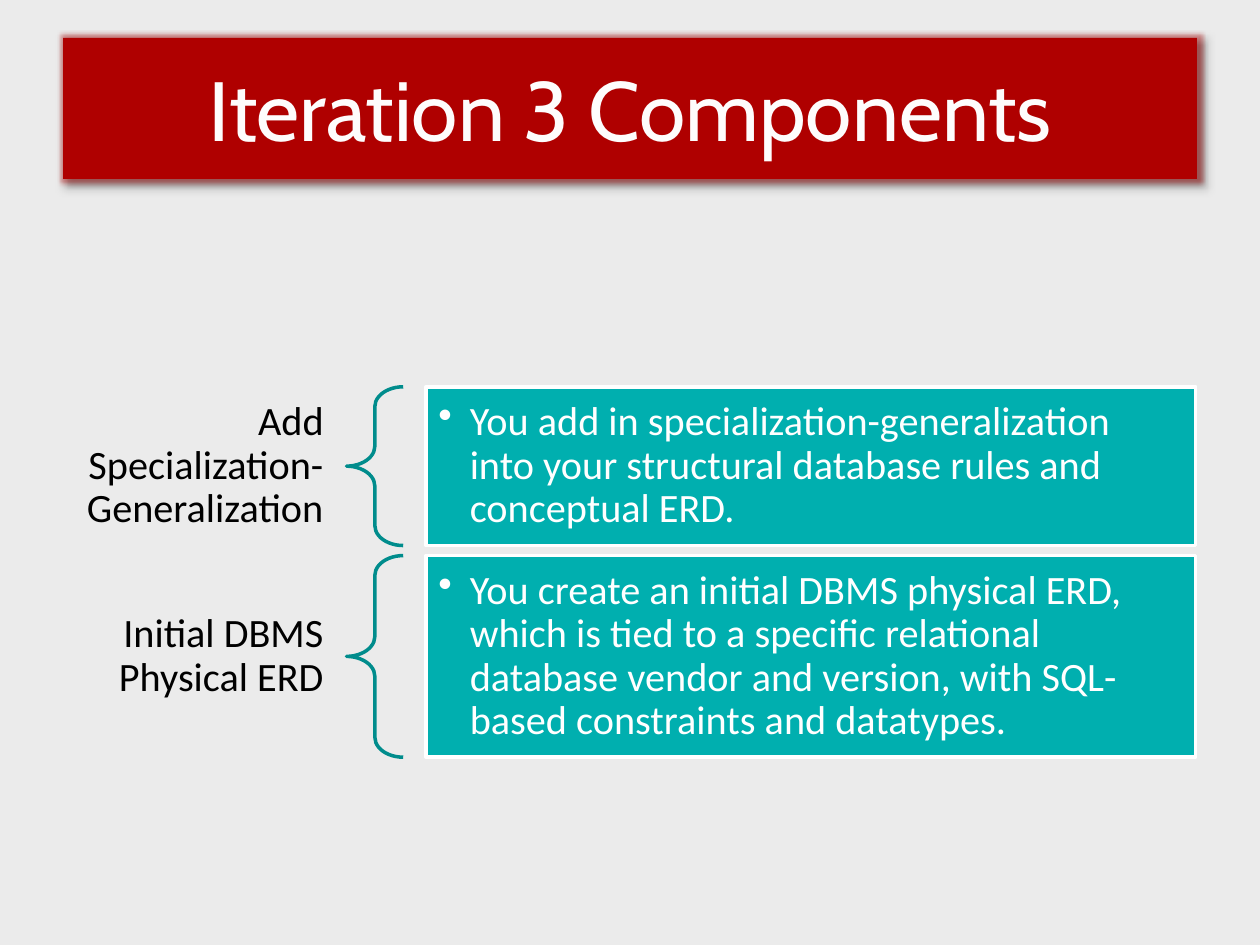
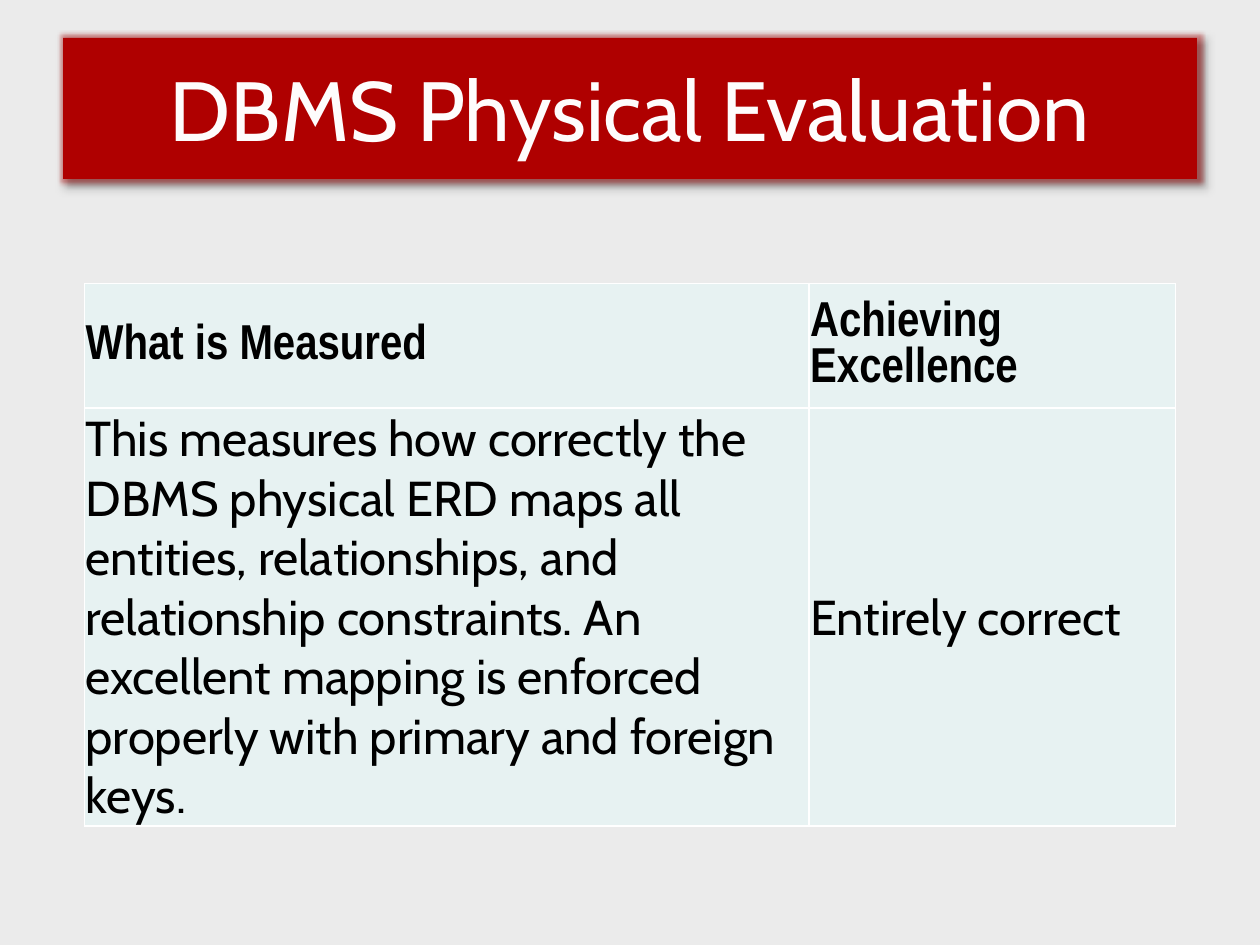
"""Builds two slides on the Iteration 3 components and their evaluation."""
from dataclasses import dataclass

from lxml import etree
from pptx import Presentation
from pptx.dml.color import RGBColor
from pptx.enum.shapes import MSO_SHAPE
from pptx.enum.text import MSO_ANCHOR, MSO_AUTO_SIZE, PP_ALIGN
from pptx.oxml import parse_xml
from pptx.util import Inches, Pt

RECT, BRACE = MSO_SHAPE.RECTANGLE, MSO_SHAPE.LEFT_BRACE
LEFT, MID, RIGHT = PP_ALIGN.LEFT, PP_ALIGN.CENTER, PP_ALIGN.RIGHT
CENTRE, FIXED = MSO_ANCHOR.MIDDLE, MSO_AUTO_SIZE.NONE
NS = "http://schemas.openxmlformats.org/drawingml/2006/main"

PARTS = {
    "title": "Iteration 3 Components",
    "rows": [
        ("Add Specialization-Generalization",
         "You add in specialization-generalization into your structural "
         "database rules and conceptual ERD.", 1.26),
        ("Initial DBMS Physical ERD",
         "You create an initial DBMS physical ERD, which is tied to a specific "
         "relational database vendor and version, with SQL-based constraints "
         "and datatypes.", 1.6),
    ],
}
GRADES = {
    "title": "DBMS Physical Evaluation",
    "rows": [
        ("What is Measured", "Achieving Excellence"),
        ("This measures how correctly the DBMS physical ERD maps all entities, "
         "relationships, and relationship constraints. An excellent mapping is "
         "enforced properly with primary and foreign keys.",
         "Entirely correct"),
    ],
    "cols": (5.75, 2.91),
    "highs": (0.99, 3.28),
}


@dataclass(frozen=True)
class Theme:
    """Colours, fonts and type sizes."""
    back: str = "EBEBEB"
    band: str = "AF0000"
    head: str = "FEFCFC"
    teal: str = "00AFAF"
    deep: str = "008C8C"
    pale: str = "E7F2F2"
    white: str = "FFFFFF"
    black: str = "000000"
    main: str = "Cabin"
    body: str = "Calibri"
    slim: str = "Arial Narrow"
    big: int = 48
    mid: int = 28
    small: int = 23


T = Theme()


def rgb(code):
    """Turn a hex code into a colour."""
    return RGBColor.from_string(code)


def box(*spans):
    """Turn spans in inches into lengths."""
    return [Inches(span) for span in spans]


def xml(body):
    """Parse one drawing element given without its opening bracket."""
    tag, rest = body.split(" ", 1)
    return parse_xml(f'<a:{tag} xmlns:a="{NS}" {rest}')


def edge(tag, code, points):
    """Make a solid line element."""
    return xml(f'{tag} w="{Pt(points)}"><a:solidFill><a:srgbClr val="{code}"/>'
               f'</a:solidFill></a:{tag}>')


def put(frame, text, font=T.body, size=T.small, color=T.black, bold=False,
        align=LEFT, gap=None, pads=(0.1, 0.05, 0.1, 0.05), wrap=True,
        dot=False, rim=None):
    """Write one formatted paragraph into a text frame."""
    frame.word_wrap, frame.auto_size = wrap, FIXED
    frame.vertical_anchor = CENTRE
    (frame.margin_left, frame.margin_top,
     frame.margin_right, frame.margin_bottom) = box(*pads)
    para = frame.paragraphs[0]
    para.alignment, para.line_spacing = align, gap
    run = para.add_run()
    run.text = text
    face = run.font
    face.name, face.size, face.bold = font, Pt(size), bold
    face.color.rgb = rgb(color)
    if rim:
        run._r.get_or_add_rPr().insert(0, edge("ln", rim, 0.75))
    if dot:
        props = para._p.get_or_add_pPr()
        props.set("marL", str(Inches(0.25)))
        props.set("indent", str(-Inches(0.25)))
        etree.SubElement(props, f"{{{NS}}}buChar", char="•")


def shape(slide, kind, spot, line, fill=None):
    """Add a flat shape with a two point line."""
    item = slide.shapes.add_shape(kind, *box(*spot))
    item.shadow.inherit = False
    if fill:
        item.fill.solid()
        item.fill.fore_color.rgb = rgb(fill)
    else:
        item.fill.background()
    item.line.color.rgb, item.line.width = rgb(line), Pt(2)
    return item


def start(deck, text):
    """Add a slide with the glowing title band."""
    slide = deck.slides.add_slide(deck.slide_layouts[5])
    band = slide.shapes.title
    band.left, band.top, band.width, band.height = box(0.5, 0.3, 9, 1.12)
    band.fill.solid()
    band.fill.fore_color.rgb = rgb(T.band)
    band.line.fill.background()
    band._element.spPr.append(xml(
        f'effectLst ><a:glow rad="{Pt(5)}"><a:srgbClr val="{T.band}">'
        '<a:alpha val="40000"/></a:srgbClr></a:glow>'
        f'<a:outerShdw blurRad="{Pt(4)}" dist="{Pt(3)}" dir="2700000">'
        f'<a:srgbClr val="{T.black}"><a:alpha val="40000"/></a:srgbClr>'
        '</a:outerShdw></a:effectLst>'))
    put(band.text_frame, text, font=T.main, size=T.big, color=T.head,
        align=MID, wrap=False, rim=T.white)
    return slide


def parts(deck):
    """Draw labels, braces and boxes, row by row."""
    slide = start(deck, PARTS["title"])
    top = 3.07
    for label, note, high in PARTS["rows"]:
        text = slide.shapes.add_textbox(*box(0.5, top, 2.25, high))
        put(text.text_frame, label, align=RIGHT, gap=0.9,
            pads=(0.18, 0.06, 0.18, 0.06))
        brace = shape(slide, BRACE, (2.75, top, 0.45, high), T.deep)
        brace.adjustments[0], brace.adjustments[1] = 0.35, 0.5
        card = shape(slide, RECT, (3.38, top, 6.11, high), T.white, T.teal)
        put(card.text_frame, note, color=T.white, gap=0.9, dot=True,
            pads=(0.1, 0.1, 0.1, 0.1))
        top += high + 0.08


def grades(deck):
    """Draw the evaluation table."""
    slide = start(deck, GRADES["title"])
    cols, highs = GRADES["cols"], GRADES["highs"]
    grid = slide.shapes.add_table(
        len(highs), len(cols),
        *box(0.67, 2.25, sum(cols), sum(highs))).table
    for col, wide in zip(grid.columns, cols):
        col.width = Inches(wide)
    for r, (texts, high) in enumerate(zip(GRADES["rows"], highs)):
        grid.rows[r].height = Inches(high)
        for c, text in enumerate(texts):
            cell = grid.cell(r, c)
            fill_cell(cell, text, r == 0)


def fill_cell(cell, text, head):
    """Write, fill and border one table cell."""
    put(cell.text_frame, text, font=T.slim if head else T.main, size=T.mid,
        bold=head)
    cell.vertical_anchor = CENTRE
    (cell.margin_left, cell.margin_top,
     cell.margin_right, cell.margin_bottom) = box(0.01, 0.01, 0.01, 0)
    cell.fill.solid()
    cell.fill.fore_color.rgb = rgb(T.pale)
    props = cell._tc.get_or_add_tcPr()
    for n, tag in enumerate(("lnL", "lnR", "lnT", "lnB")):
        props.insert(n, edge(tag, T.white, 1))


def main():
    """Build and save the deck."""
    deck = Presentation()
    deck.slide_width, deck.slide_height = box(10, 7.5)
    back = deck.slide_master.background.fill
    back.solid()
    back.fore_color.rgb = rgb(T.back)
    parts(deck)
    grades(deck)
    deck.save("out.pptx")


if __name__ == "__main__":
    main()
